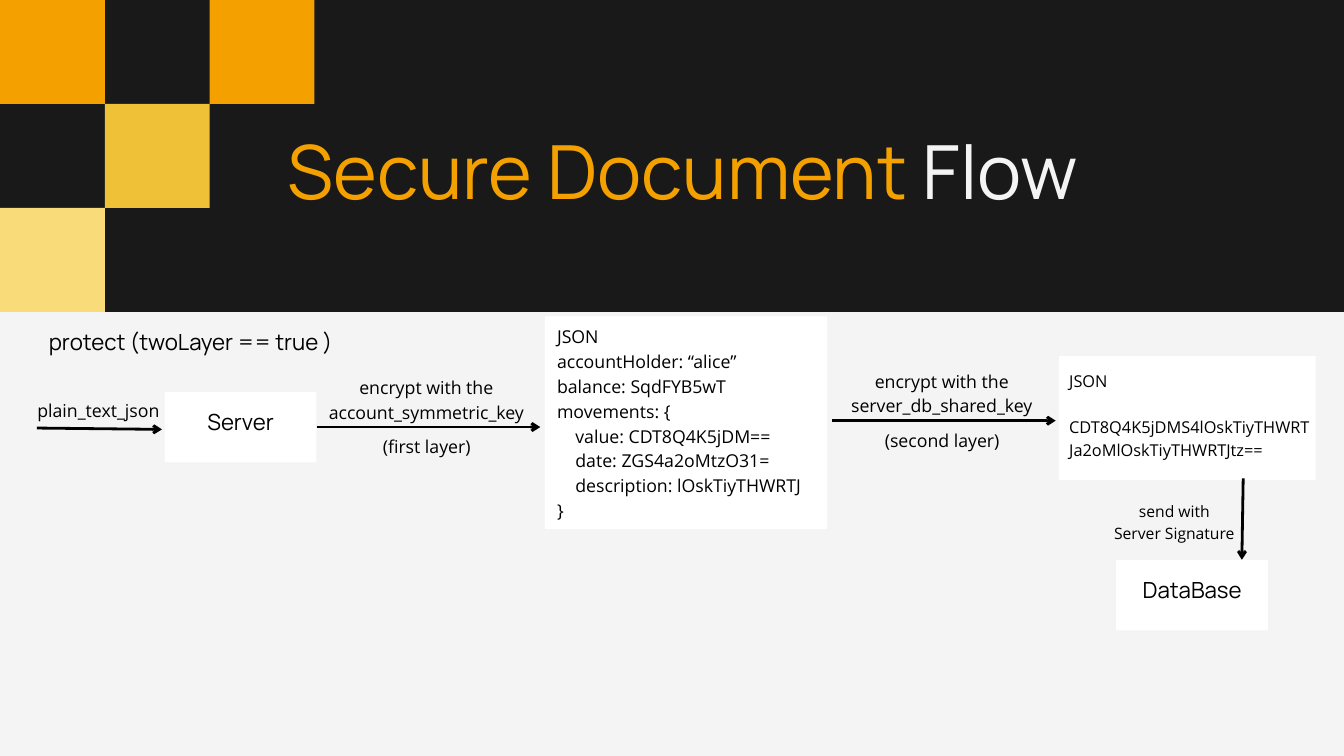
from dataclasses import dataclass

from lxml.etree import SubElement
from pptx import Presentation
from pptx.dml.color import RGBColor
from pptx.enum.shapes import MSO_CONNECTOR, MSO_SHAPE
from pptx.enum.text import MSO_ANCHOR, PP_ALIGN
from pptx.oxml.ns import qn
from pptx.util import Inches, Pt


@dataclass(frozen=True)
class Theme:
    page: str = "F4F4F4"
    band: str = "191919"
    orange: str = "F4A100"
    gold: str = "EFC136"
    pale: str = "FADB7A"
    white: str = "FFFFFF"
    black: str = "000000"
    heading_font: str = "Manrope"
    body_font: str = "Open Sans"
    title: tuple = (80, 96)  # type size and line spacing
    node: tuple = (23.8, 30.9)
    label: tuple = (19, 26.6)
    cipher: tuple = (17.5, 24.5)
    note: tuple = (16.8, 23.6)


THEME = Theme()


def add_rectangle(page, box, color):
    shape = page.shapes.add_shape(MSO_SHAPE.RECTANGLE, *map(Inches, box))
    shape.shadow.inherit = False
    shape.fill.solid()
    shape.fill.fore_color.rgb = RGBColor.from_string(color)
    shape.line.fill.background()
    return shape


def write_text(shape, lines, style, font=THEME.body_font, align=PP_ALIGN.CENTER,
               anchor=MSO_ANCHOR.TOP, insets=(0, 0, 0, 0)):
    """Fill a shape; each line is a list of (text, color) spans, insets run left, top, right, bottom."""
    size, spacing = style
    frame = shape.text_frame
    left, top, right, bottom = map(Inches, insets)
    frame_format = {"word_wrap": True, "vertical_anchor": anchor, "margin_left": left,
                    "margin_top": top, "margin_right": right, "margin_bottom": bottom}
    for name, value in frame_format.items():
        setattr(frame, name, value)
    for index, line in enumerate(lines):
        para = frame.add_paragraph() if index else frame.paragraphs[0]
        para.alignment = align
        para.line_spacing = Pt(spacing)
        for text, color in line:
            span = para.add_run()
            span.text = text
            for name, value in {"name": font, "size": Pt(size)}.items():
                setattr(span.font, name, value)
            span.font.color.rgb = RGBColor.from_string(color)
    return frame


def plain(*lines):
    """Turn strings into lines of one black span."""
    return [[(text, THEME.black)] for text in lines]


def add_label(page, box, lines, style=THEME.label, **text_format):
    shape = page.shapes.add_textbox(*map(Inches, box))
    return write_text(shape, lines, style, **text_format)


def add_arrow(page, start, end):
    arrow = page.shapes.add_connector(MSO_CONNECTOR.STRAIGHT, *map(Inches, (*start, *end)))
    arrow.line.width = Pt(3)
    arrow.line.color.rgb = RGBColor.from_string(THEME.black)
    SubElement(arrow.line._get_or_add_ln(), qn("a:tailEnd"), type="arrow")
    SubElement(arrow._element.spPr, qn("a:effectLst"))
    return arrow


def add_header(page, box):
    left, top, width, height = box
    add_rectangle(page, box, THEME.band)
    tile_width, tile_height = 1.56, height / 3
    tiles = {(0, 0): THEME.orange, (2, 0): THEME.orange,
             (1, 1): THEME.gold, (0, 2): THEME.pale}
    for (column, row), color in tiles.items():
        add_rectangle(page, (left + column * tile_width, top + row * tile_height,
                             tile_width, tile_height), color)
    title = [[("Secure Document", THEME.orange), (" Flow", THEME.page)]]
    add_label(page, (left + 4.28, top + 1.86, 14.97, 1.43), title, THEME.title,
              font=THEME.heading_font, align=PP_ALIGN.LEFT)


def add_node(page, left, top, name):
    node = add_rectangle(page, (left, top, 2.26, 1.05), THEME.white)
    write_text(node, plain(name), THEME.node, font=THEME.heading_font,
               anchor=MSO_ANCHOR.MIDDLE, insets=(0.06, 0.06, 0.06, 0.26))
    return node


def add_panel(page, box, lines, style, insets):
    panel = add_rectangle(page, box, THEME.white)
    return write_text(panel, plain(*lines), style, align=PP_ALIGN.LEFT, insets=insets)


def add_encryption_step(page, left, y, key, layer):
    """Draw an arrow with the key above it and the layer below it."""
    add_label(page, (left, y - 0.8, 3.27, 0.72), plain("encrypt with the", key))
    add_label(page, (left + 0.58, y + 0.08, 2.12, 0.35), plain(layer))
    return add_arrow(page, (left, y), (left + 3.33, y))


def add_flow(page, box):
    left, top, _, _ = box
    add_label(page, (left, top, 4.57, 0.45), plain("protect (twoLayer == true )"),
              THEME.node, font=THEME.heading_font)

    add_label(page, (left, top + 1.05, 1.83, 0.35), plain("plain_text_json"))
    add_arrow(page, (left, top + 1.52), (left + 1.86, top + 1.54))
    server = add_node(page, left + 1.9, top + 0.98, "Server")

    first = add_encryption_step(page, left + 4.16, top + 1.505,
                                "account_symmetric_key", "(first layer)")
    first.begin_connect(server, 3)
    document = ["JSON", "accountHolder: “alice”", "balance: SqdFYB5wT", "movements: {",
                "    value: CDT8Q4K5jDM==", "    date: ZGS4a2oMtzO31=",
                "    description: lOskTiyTHWRTJ", "}"]
    add_panel(page, (left + 7.56, top - 0.14, 4.2, 3.16), document,
              THEME.label, (0.18, 0.09, 0.12, 0))

    add_encryption_step(page, left + 11.83, top + 1.41,
                        "server_db_shared_key", "(second layer)")
    cipher = ["JSON", "CDT8Q4K5jDMS4lOskTiyTHWRTJa2oMlOskTiyTHWRTJtz=="]
    frame = add_panel(page, (left + 15.21, top + 0.45, 3.82, 1.84), cipher,
                      THEME.cipher, (0.15, 0.18, 0.08, 0))
    frame.paragraphs[1].space_before = Pt(THEME.cipher[1])

    add_arrow(page, (left + 17.95, top + 2.27), (left + 17.93, top + 3.48))
    add_label(page, (left + 15.62, top + 2.57, 2.61, 0.64),
              plain("send with", "Server Signature"), THEME.note)
    add_node(page, left + 16.06, top + 3.48, "DataBase")


def main():
    deck = Presentation()
    deck.slide_width, deck.slide_height = Inches(20), Inches(11.25)
    page = deck.slides.add_slide(deck.slide_layouts[6])
    page.background.fill.solid()
    page.background.fill.fore_color.rgb = RGBColor.from_string(THEME.page)
    add_header(page, (0, 0, 20, 4.64))
    add_flow(page, (0.55, 4.85, 19.03, 4.53))
    deck.save("out.pptx")


if __name__ == "__main__":
    main()
